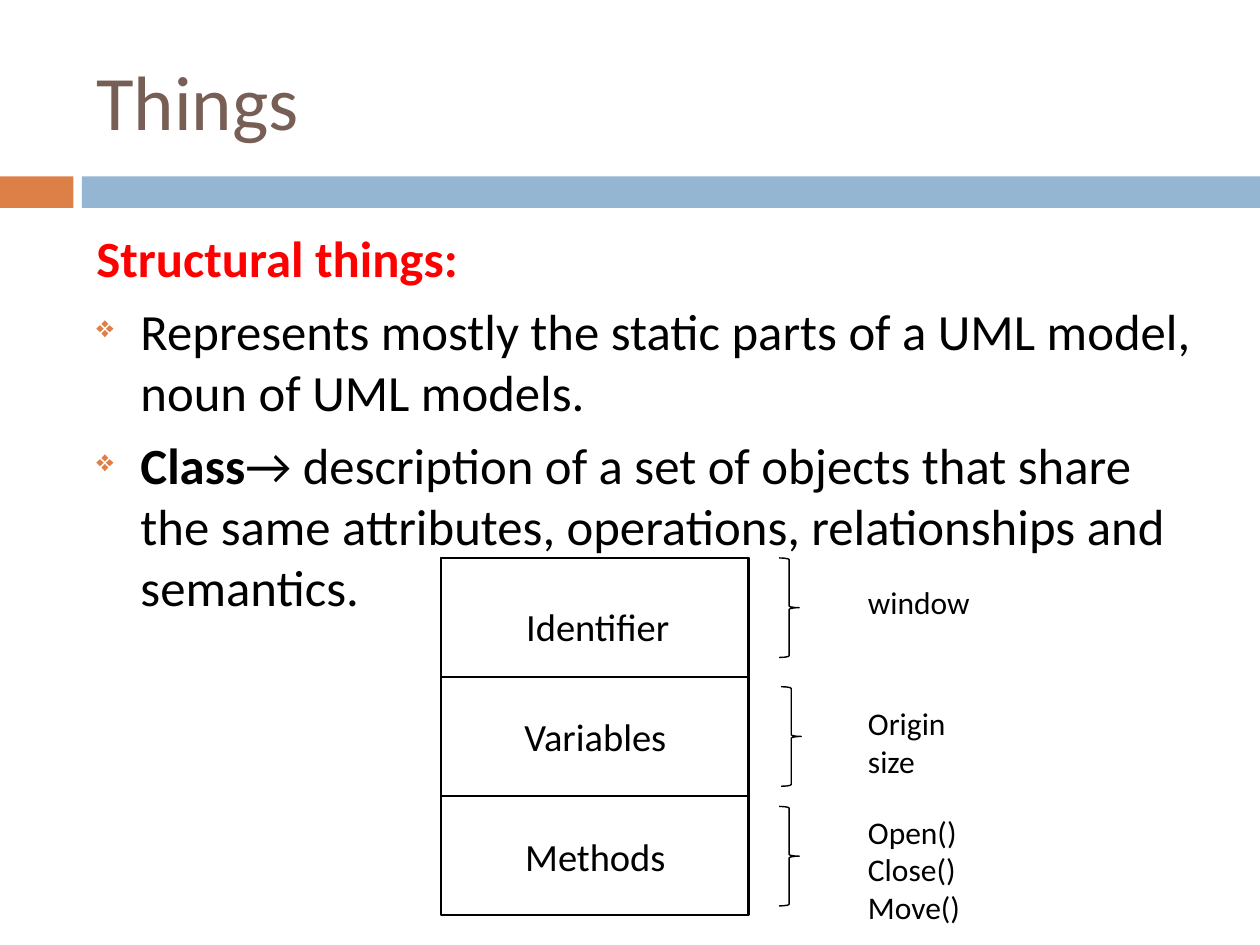
from lxml import etree
from pptx import Presentation
from pptx.dml.color import RGBColor
from pptx.enum import shapes, text
from pptx.oxml.ns import qn
from pptx.util import Pt

THEME = {
    "font": "Calibri",
    "title": "775F55", "accent": "DD8047", "band": "94B6D2",
    "heading": "FF0000", "ink": "000000",
    "title_size": 44, "body_size": 29, "part_size": 22, "example_size": 18,
}

BANDS = [(0, 42, "accent"), (46.8, 673.2, "band")]
TITLE = "Things"
HEADING = "Structural things:"
BULLETS = [
    [("Represents mostly the static parts of a UML model, noun of UML models.", False)],
    [("Class", True),
     ("→ description of a set of objects that share the same attributes, "
      "operations, relationships and semantics.", False)],
]
CLASS_BOX = {"left": 252, "top": 318.8, "width": 175.9, "part_height": 68}
PARTS = [
    {"name": "Identifier", "name_at": (289.4, 341.3), "brace_at": (445.2, 318.8),
     "examples": ["window"], "examples_top": 329.8},
    {"name": "Variables", "name_at": (288, 404), "brace_at": (446.4, 392.4),
     "examples": ["Origin", "size"], "examples_top": 399},
    {"name": "Methods", "name_at": (288, 472.3), "brace_at": (445.2, 460.8),
     "examples": ["Open()", "Close()", "Move()"], "examples_top": 460.8},
]


def color(name):
    return RGBColor.from_string(THEME[name])


def add_shape(slide, kind, left, top, width, height, fill=None, line=None):
    shape = slide.shapes.add_shape(kind, Pt(left), Pt(top), Pt(width), Pt(height))
    shape.shadow.inherit = False
    if fill:
        shape.fill.solid()
        shape.fill.fore_color.rgb = color(fill)
    else:
        shape.fill.background()
    if line:
        shape.line.color.rgb = color("ink")
        shape.line.width = Pt(line)
    else:
        shape.line.fill.background()
    return shape


def add_text_box(slide, left, top, width, height, anchor=text.MSO_ANCHOR.TOP):
    frame = slide.shapes.add_textbox(Pt(left), Pt(top), Pt(width), Pt(height)).text_frame
    frame.word_wrap = True
    frame.vertical_anchor = anchor
    return frame


def write(frame, content, size, ink="ink", bold=False, align=text.PP_ALIGN.LEFT,
          space_before=0, bullet=None):
    first = frame.paragraphs[0]
    paragraph = frame.add_paragraph() if first.runs else first
    paragraph.alignment = align
    paragraph.space_before = Pt(space_before)
    runs = [(content, bold)] if isinstance(content, str) else content
    for words, is_bold in runs:
        run = paragraph.add_run()
        run.text = words
        run.font.name = THEME["font"]
        run.font.size = Pt(THEME[size])
        run.font.bold = is_bold
        run.font.color.rgb = color(ink)
    if bullet:
        add_bullet(paragraph, bullet)


def add_bullet(paragraph, character, indent=25.2):
    properties = paragraph._p.get_or_add_pPr()
    properties.set("marL", str(Pt(indent)))
    properties.set("indent", str(-Pt(indent)))
    bullet_color = etree.SubElement(properties, qn("a:buClr"))
    etree.SubElement(bullet_color, qn("a:srgbClr"), val=THEME["accent"])
    etree.SubElement(properties, qn("a:buSzPct"), val="60000")
    etree.SubElement(properties, qn("a:buChar"), char=character)


def add_class_diagram(slide):
    left, top, width, part_height = CLASS_BOX.values()
    rectangle = shapes.MSO_SHAPE.RECTANGLE
    add_shape(slide, rectangle, left, top, width, part_height * len(PARTS), line=1.5)
    for index in range(len(PARTS) - 1):
        add_shape(slide, rectangle, left, top + index * part_height,
                  width, part_height, line=1.5)
    for part in PARTS:
        name_box = add_text_box(slide, *part["name_at"], 104.4, 33.8)
        write(name_box, part["name"], "part_size", align=text.PP_ALIGN.CENTER)
        add_shape(slide, shapes.MSO_SHAPE.RIGHT_BRACE, *part["brace_at"],
                  11.5, 56.9, line=0.79)
        examples = part["examples"]
        example_box = add_text_box(slide, 488.9, part["examples_top"],
                                   82.8, 7.2 + 22 * len(examples))
        for example in examples:
            write(example_box, example, "example_size")


def main():
    presentation = Presentation()
    presentation.slide_width, presentation.slide_height = Pt(720), Pt(540)
    slide = presentation.slides.add_slide(presentation.slide_layouts[6])

    for left, width, fill in BANDS:
        add_shape(slide, shapes.MSO_SHAPE.RECTANGLE, left, 100.8, width, 18, fill=fill)

    title_box = add_text_box(slide, 48, 18, 642, 78, anchor=text.MSO_ANCHOR.MIDDLE)
    write(title_box, TITLE, "title_size", ink="title")

    body_box = add_text_box(slide, 48, 126, 642, 354)
    write(body_box, HEADING, "body_size", ink="heading", bold=True, space_before=7)
    for bullet_text in BULLETS:
        write(body_box, bullet_text, "body_size", space_before=7, bullet="❖")

    add_class_diagram(slide)
    presentation.save("out.pptx")


if __name__ == "__main__":
    main()
